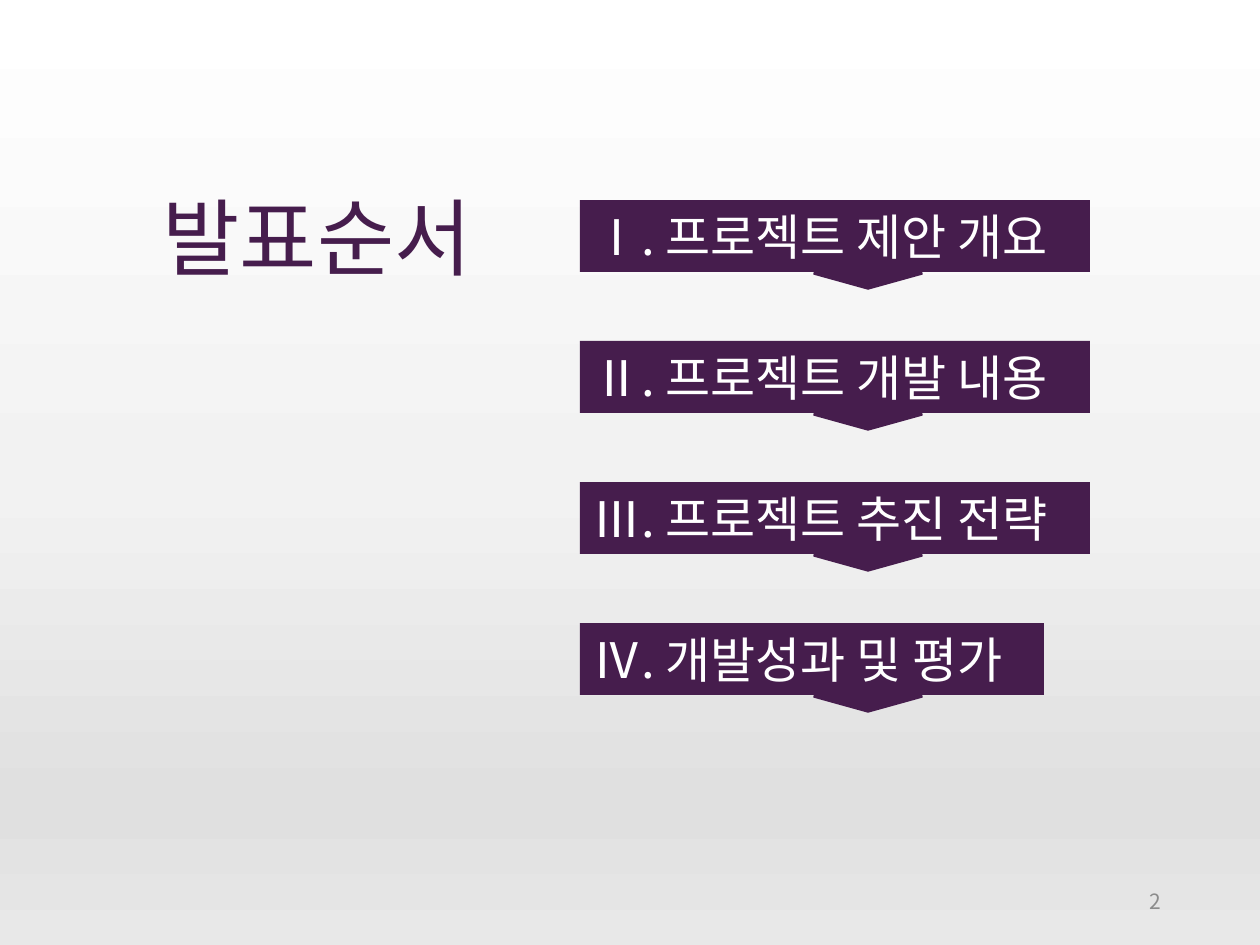
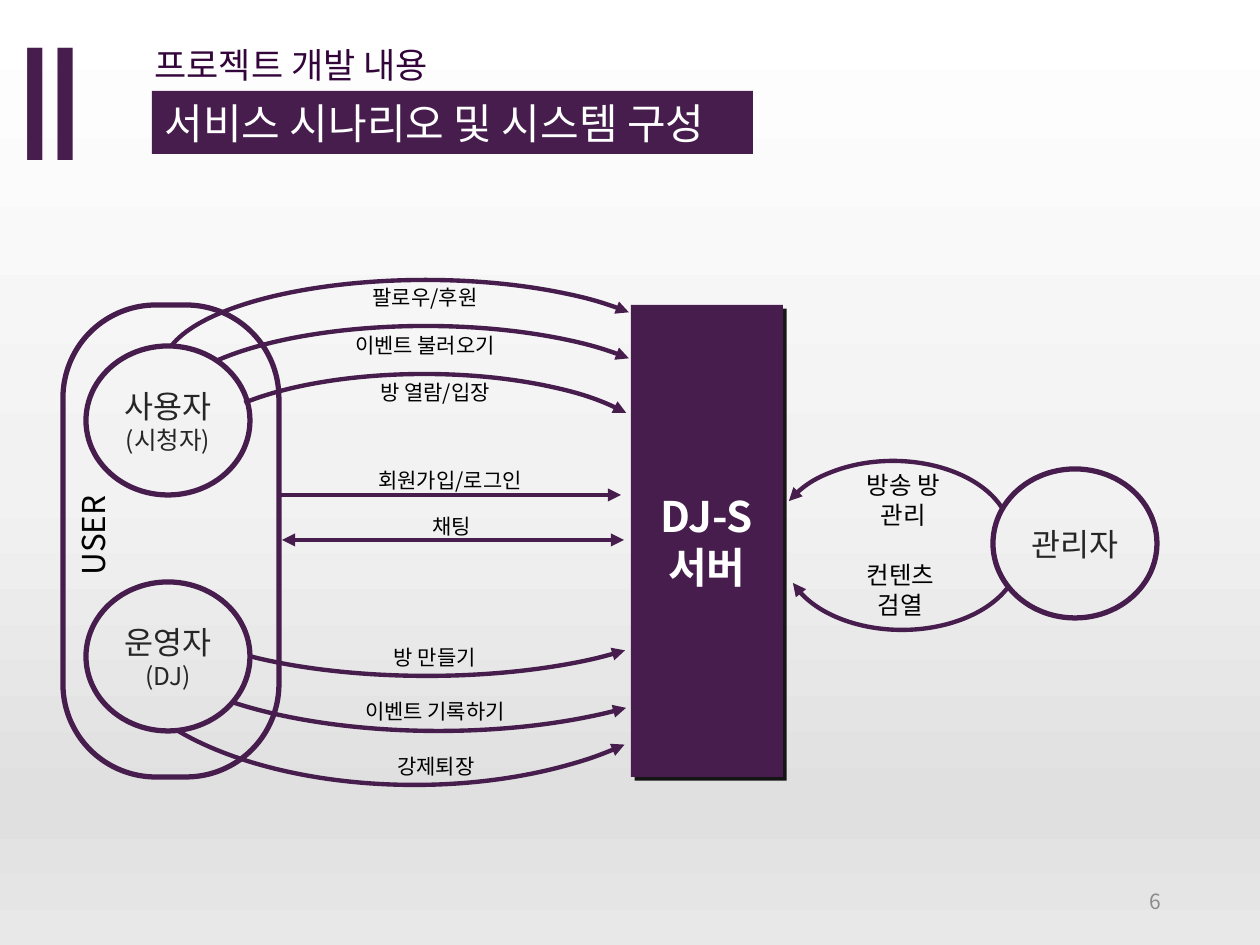
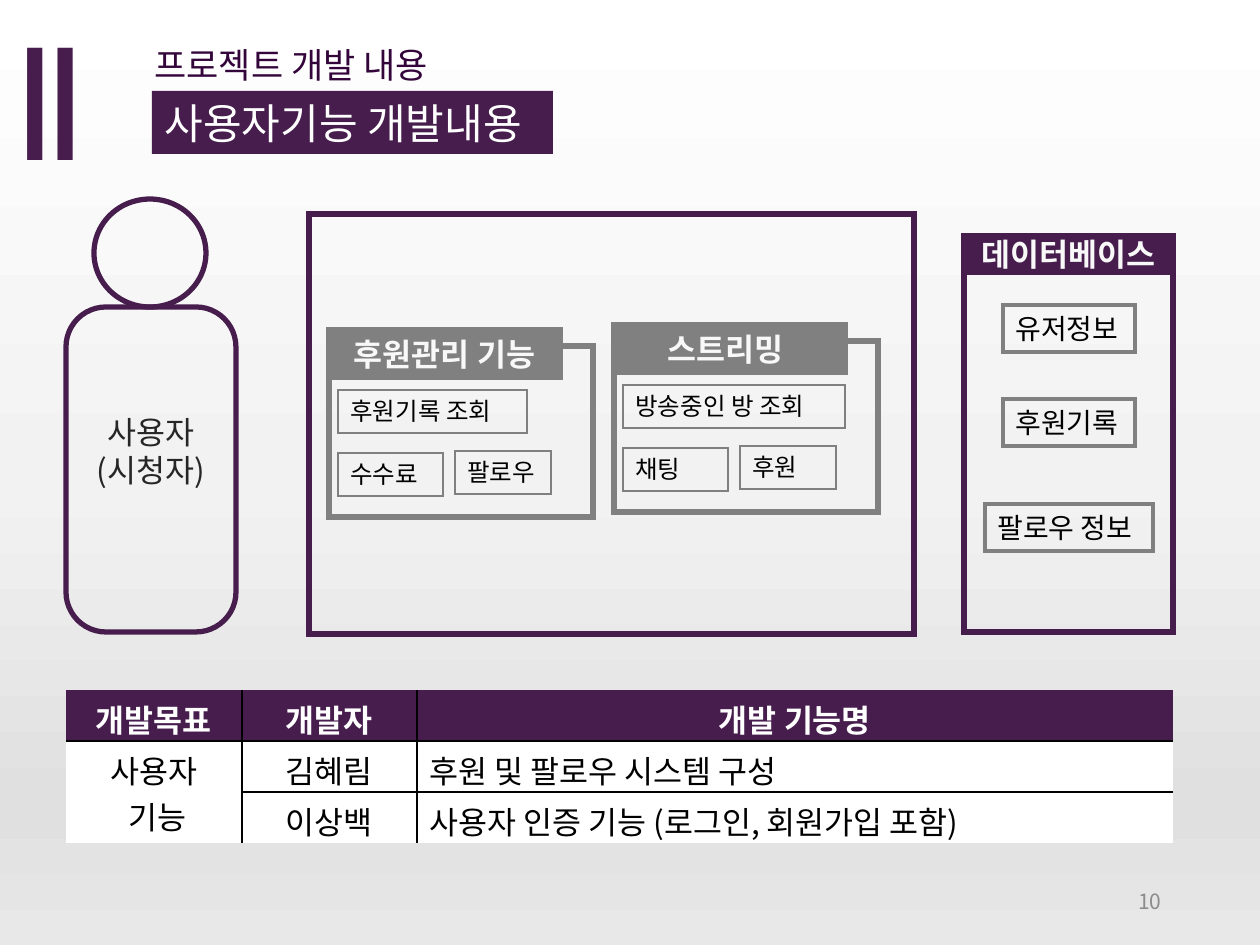
from dataclasses import dataclass

from lxml.etree import SubElement
from pptx import Presentation
from pptx.dml.color import RGBColor
from pptx.enum.shapes import MSO_CONNECTOR, MSO_SHAPE as SHAPE
from pptx.enum.text import MSO_ANCHOR as ANCHOR, MSO_AUTO_SIZE as FIT, PP_ALIGN as ALIGN
from pptx.oxml.ns import qn
from pptx.util import Pt


@dataclass(frozen=True)
class Theme:
    font: str = "Noto Sans CJK KR"
    numeral_font: str = "Arial Narrow"
    plum: str = "461D4D"
    dark_plum: str = "33053B"
    gray: str = "808080"
    page_gray: str = "8C8C8C"
    ink: str = "262626"
    black: str = "000000"
    white: str = "FFFFFF"
    off_white: str = "F8F8F8"
    stops: tuple = ((0, "FFFFFF"), (51, "F2F2F2"), (85, "E0E0E0"), (100, "E8E8E8"))
    numeral: int = 88
    cover: int = 48
    agenda: int = 28
    title: int = 24
    section: int = 20
    body: int = 18
    item: int = 16
    small: int = 14
    label: int = 12
    frame: float = 3
    box: float = 2.25
    flow: float = 2.5
    hair: float = 1


T = Theme()
PX = 914400 / 126
NO_GRID = "{2D5ABB26-0587-4C30-8999-92F81FD0307C}"

AGENDA_TITLE = "발표순서"
AGENDA = [
    ("Ⅰ. 프로젝트 제안 개요", 510),
    ("Ⅱ. 프로젝트 개발 내용", 510),
    ("Ⅲ. 프로젝트 추진 전략", 510),
    ("Ⅳ. 개발성과 및 평가", 464),
]
SECTION = ("Ⅱ", "프로젝트 개발 내용")

ACTORS = [
    (86, 346, [[("사용자", T.body)], [("(시청자)", T.small)]]),
    (86, 582, [[("운영자", T.body), ("(DJ)", T.small)]]),
    (993, 469, ["관리자"]),
]
FLOW_LABELS = [
    (333, 278, "팔로우/후원"),
    (333, 326, "이벤트 불러오기"),
    (343, 373, "방 열람/입장"),
    (358, 461, "회원가입/로그인"),
    (360, 507, "채팅"),
    (343, 638, "방 만들기"),
    (343, 692, "이벤트 기록하기"),
    (344, 747, "강제퇴장"),
]
ADMIN_LABELS = [(840, 464, "방송 방 관리"), (837, 554, "컨텐츠 검열")]
LINES = [(280, 621, 495, ("tail",)), (282, 624, 540, ("head", "tail"))]
ARCS = [
    ((163, 280, 525, 176), 185, 344.7, "tail"),
    ((163, 326, 525, 176), 194.1, 344.7, "tail"),
    ((185, 374, 479, 169), 197.2, 347.3, "tail"),
    ((146, 500, 562, 176), 17.5, 158.6, "head"),
    ((134, 513, 609, 218), 24.6, 158.6, "head"),
    ((110, 493, 609, 292), 26.7, 158.6, "head"),
    ((775, 461, 236, 152), 199, 344.7, "head"),
    ((784, 478, 236, 152), 18.3, 165.1, "tail"),
]

DATABASE = [
    ((1003, 305, 132, 47), "유저정보"),
    ((1003, 399, 132, 47), "후원기록"),
    ((985, 504, 168, 47), "팔로우 정보"),
]
MODULES = [
    (329, 346, "후원관리 기능", 189, ("후원기록 조회", "수수료", "팔로우")),
    (614, 341, "스트리밍 ", 222, ("방송중인 방 조회", "채팅", "후원")),
]
COLUMNS = [176, 175, 756]
ROW_HEIGHT = 51
ROWS = [
    (["개발목표"], ["개발자"], ["개발 기능명"]),
    (["사용자", " 기능"], ["김혜림"], ["후원 및 팔로우 시스템 구성"]),
    (None, ["이상백"], ["사용자 인증 기능 (로그인, 회원가입 포함)"]),
]


def px(*values):
    return [round(v * PX) for v in values]


def rgb(color):
    return RGBColor.from_string(color)


def write(tf, paras, size, color=T.black, bold=False, align=ALIGN.LEFT, font=T.font):
    for i, para in enumerate(paras):
        p = tf.add_paragraph() if i else tf.paragraphs[0]
        runs = [(para, size)] if isinstance(para, str) else para
        p.alignment = align
        p.font.size = Pt(runs[0][1])
        p.font.bold = bold
        p.font.color.rgb = rgb(color)
        p.font.name = font
        SubElement(p.font._rPr, qn("a:ea"), typeface=font)
        for text, run_size in runs:
            r = p.add_run()
            r.text = text
            if run_size != runs[0][1]:
                r.font.size = Pt(run_size)


def frame_text(sp, paras, size, color=T.black, wrap=True, grow=True,
               anchor=ANCHOR.TOP, **style):
    tf = sp.text_frame
    tf.word_wrap = wrap
    tf.auto_size = FIT.SHAPE_TO_FIT_TEXT if grow else FIT.NONE
    tf.vertical_anchor = anchor
    write(tf, paras, size, color, **style)


def centered(sp, paras, size=T.body, color=T.ink, **style):
    frame_text(sp, paras, size, color, grow=False, anchor=ANCHOR.MIDDLE,
               align=ALIGN.CENTER, **style)


def add_text(slide, box, text, size, color=T.black, **style):
    sp = slide.shapes.add_textbox(*px(*box))
    frame_text(sp, [text], size, color, **style)
    return sp


def add_shape(slide, kind, box, fill=None, line=None, width=T.frame):
    sp = slide.shapes.add_shape(kind, *px(*box))
    sp.shadow.inherit = False
    if fill:
        sp.fill.solid()
        sp.fill.fore_color.rgb = rgb(fill)
    else:
        sp.fill.background()
    if line:
        sp.line.color.rgb = rgb(line)
        sp.line.width = Pt(width)
        SubElement(sp.line._get_or_add_ln(), qn("a:miter"), lim="800000")
    else:
        sp.line.fill.background()
    return sp


def add_arrowheads(sp, ends):
    ln = sp.line._get_or_add_ln()
    for end in ends:
        SubElement(ln, qn(f"a:{end}End"), type="triangle")


def add_arc(slide, box, start, end, arrow):
    sp = add_shape(slide, SHAPE.ARC, box, line=T.plum, width=T.flow)
    sp.adjustments[0], sp.adjustments[1] = start * 0.6, end * 0.6
    add_arrowheads(sp, [arrow])


def add_line(slide, left, right, y, ends):
    sp = slide.shapes.add_connector(MSO_CONNECTOR.STRAIGHT, *px(left, y, right, y))
    sp.line.color.rgb = rgb(T.plum)
    sp.line.width = Pt(T.flow)
    add_arrowheads(sp, ends)
    SubElement(sp._element.spPr, qn("a:effectLst"))


def add_drop_shadow(sp):
    effects = sp._element.spPr.find(qn("a:effectLst"))
    shadow = SubElement(effects, qn("a:outerShdw"), blurRad="0", dist=str(Pt(3)),
                        dir="2700000", algn="tl", rotWithShape="0")
    color = SubElement(shadow, qn("a:srgbClr"), val=T.black)
    SubElement(color, qn("a:alpha"), val="90000")


def set_background(master):
    fill = master.background.fill
    fill.gradient()
    fill.gradient_angle = 270
    stops = next(master.element.iter(qn("a:gsLst")))
    for stop in list(stops):
        stops.remove(stop)
    for pos, color in T.stops:
        stop = SubElement(stops, qn("a:gs"), pos=str(pos * 1000))
        SubElement(stop, qn("a:srgbClr"), val=color)


def new_slide(prs, number, title, box, size, color, fill=None):
    slide = prs.slides.add_slide(prs.slide_layouts[5])
    sp = slide.shapes.title
    sp.left, sp.top, sp.width, sp.height = px(*box)
    if fill:
        sp.fill.solid()
        sp.fill.fore_color.rgb = rgb(fill)
    frame_text(sp, [title], size, color, grow=False)
    add_text(slide, (890, 876, 284, 50), str(number), T.label, T.page_gray,
             grow=False, anchor=ANCHOR.MIDDLE, align=ALIGN.RIGHT)
    return slide


def section_slide(prs, number, title, width):
    slide = new_slide(prs, number, title, (152, 91, width, 63), T.title, T.white,
                      fill=T.plum)
    numeral, section = SECTION
    add_text(slide, (0, 0, 173, 199), numeral, T.numeral, T.plum, wrap=False,
             font=T.numeral_font)
    add_text(slide, (142, 37, 316, 55), section, T.section, T.dark_plum, wrap=False)
    return slide


def agenda_slide(prs):
    slide = new_slide(prs, 2, AGENDA_TITLE, (150, 179, 365, 115), T.cover, T.plum)
    for i, (text, width) in enumerate(AGENDA):
        top = 200 + 141 * i
        bar = add_shape(slide, SHAPE.RECTANGLE, (580, top, width, 72), T.plum)
        frame_text(bar, [text], T.agenda, T.white, wrap=False)
        pointer = add_shape(slide, SHAPE.ISOSCELES_TRIANGLE, (814, top + 72, 108, 15),
                            T.plum, T.plum)
        pointer.rotation = 180


def scenario_slide(prs):
    slide = section_slide(prs, 6, "서비스 시나리오 및 시스템 구성", 601)
    server = add_shape(slide, SHAPE.SNIP_1_RECTANGLE, (631, 305, 152, 472), T.plum)
    server.adjustments[0] = 0
    add_drop_shadow(server)
    centered(server, ["DJ-S 서버"], T.title, T.white, bold=True)

    group = add_shape(slide, SHAPE.ROUNDED_RECTANGLE, (63, 305, 216, 472), line=T.plum)
    group.adjustments[0] = 0.43
    for left, top, paras in ACTORS:
        actor = add_shape(slide, SHAPE.OVAL, (left, top, 164, 149), line=T.plum)
        centered(actor, paras)
    user = add_text(slide, (39, 509, 107, 50), "USER", T.body, wrap=False)
    user.rotation = 270

    for line in LINES:
        add_line(slide, *line)
    for arc in ARCS:
        add_arc(slide, *arc)
    for left, top, text in FLOW_LABELS:
        add_text(slide, (left, top, 184, 38), text, T.label, align=ALIGN.CENTER)
    for left, top, text in ADMIN_LABELS:
        add_text(slide, (left, top, 127, 43), text, T.small, align=ALIGN.CENTER)


def add_module(slide, left, top, name, first_width, items):
    add_shape(slide, SHAPE.RECTANGLE, (left, top, 264, 171), line=T.gray)
    header = add_shape(slide, SHAPE.RECTANGLE, (left, top - 16, 231, 47), T.gray, T.gray)
    centered(header, [name], color=T.off_white, bold=True)
    places = [(9, 44, first_width), (9, 107, 105), (126, 105, 96)]
    for (dx, dy, width), text in zip(places, items):
        box = (left + dx, top + dy, width, 43)
        item = add_shape(slide, SHAPE.RECTANGLE, box, line=T.gray, width=T.hair)
        frame_text(item, [text], T.small)


def set_borders(cell, sides):
    tcPr = cell._tc.get_or_add_tcPr()
    for i, side in enumerate(sides):
        ln = tcPr.makeelement(qn(f"a:ln{side}"), {"w": str(Pt(T.hair))})
        SubElement(SubElement(ln, qn("a:solidFill")), qn("a:srgbClr"), val=T.black)
        tcPr.insert(i, ln)


def add_feature_table(slide):
    last_row, last_col = len(ROWS) - 1, len(COLUMNS) - 1
    box = (66, 690, sum(COLUMNS), ROW_HEIGHT * len(ROWS))
    table = slide.shapes.add_table(len(ROWS), len(COLUMNS), *px(*box)).table
    table.first_row = table.horz_banding = False
    table._tbl.tblPr.find(qn("a:tableStyleId")).text = NO_GRID
    for column, width in zip(table.columns, COLUMNS):
        column.width = px(width)[0]
    for row in table.rows:
        row.height = px(ROW_HEIGHT)[0]
    table.cell(1, 0).merge(table.cell(2, 0))
    for i, row in enumerate(ROWS):
        for j, paras in enumerate(row):
            cell = table.cell(i, j)
            head = i == 0
            cell.fill.solid()
            cell.fill.fore_color.rgb = rgb(T.plum if head else T.white)
            inner = {"L": j > 0, "R": j < last_col,
                     "T": i == 1 or (i > 1 and j > 0),
                     "B": head or (i < last_row and j > 0)}
            set_borders(cell, [side for side, shown in inner.items() if shown])
            if paras:
                write(cell.text_frame, paras, T.body, T.white if head else T.black, head,
                      ALIGN.CENTER if head or j < last_col else ALIGN.LEFT)


def features_slide(prs):
    slide = section_slide(prs, 10, "사용자기능 개발내용", 401)
    add_feature_table(slide)
    add_shape(slide, SHAPE.OVAL, (94, 199, 112, 108), line=T.plum)
    torso = add_shape(slide, SHAPE.ROUNDED_RECTANGLE, (66, 307, 170, 325), line=T.plum)
    torso.adjustments[0] = 0.235
    centered(torso, ["사용자", "(시청자)"])
    torso.text_frame.margin_bottom = px(44)[0]

    add_shape(slide, SHAPE.RECTANGLE, (964, 272, 209, 360), line=T.plum)
    header = add_shape(slide, SHAPE.RECTANGLE, (964, 236, 209, 36), T.plum, T.plum)
    centered(header, ["데이터베이스"], color=T.off_white, bold=True)
    for box, text in DATABASE:
        store = add_shape(slide, SHAPE.RECTANGLE, box, line=T.gray, width=T.box)
        frame_text(store, [text], T.item, wrap=False)

    add_shape(slide, SHAPE.RECTANGLE, (309, 214, 605, 420), line=T.plum)
    for module in MODULES:
        add_module(slide, *module)


def main():
    prs = Presentation()
    prs.slide_width, prs.slide_height = px(1260, 945)
    set_background(prs.slide_master)
    agenda_slide(prs)
    scenario_slide(prs)
    features_slide(prs)
    prs.save("out.pptx")


if __name__ == "__main__":
    main()
